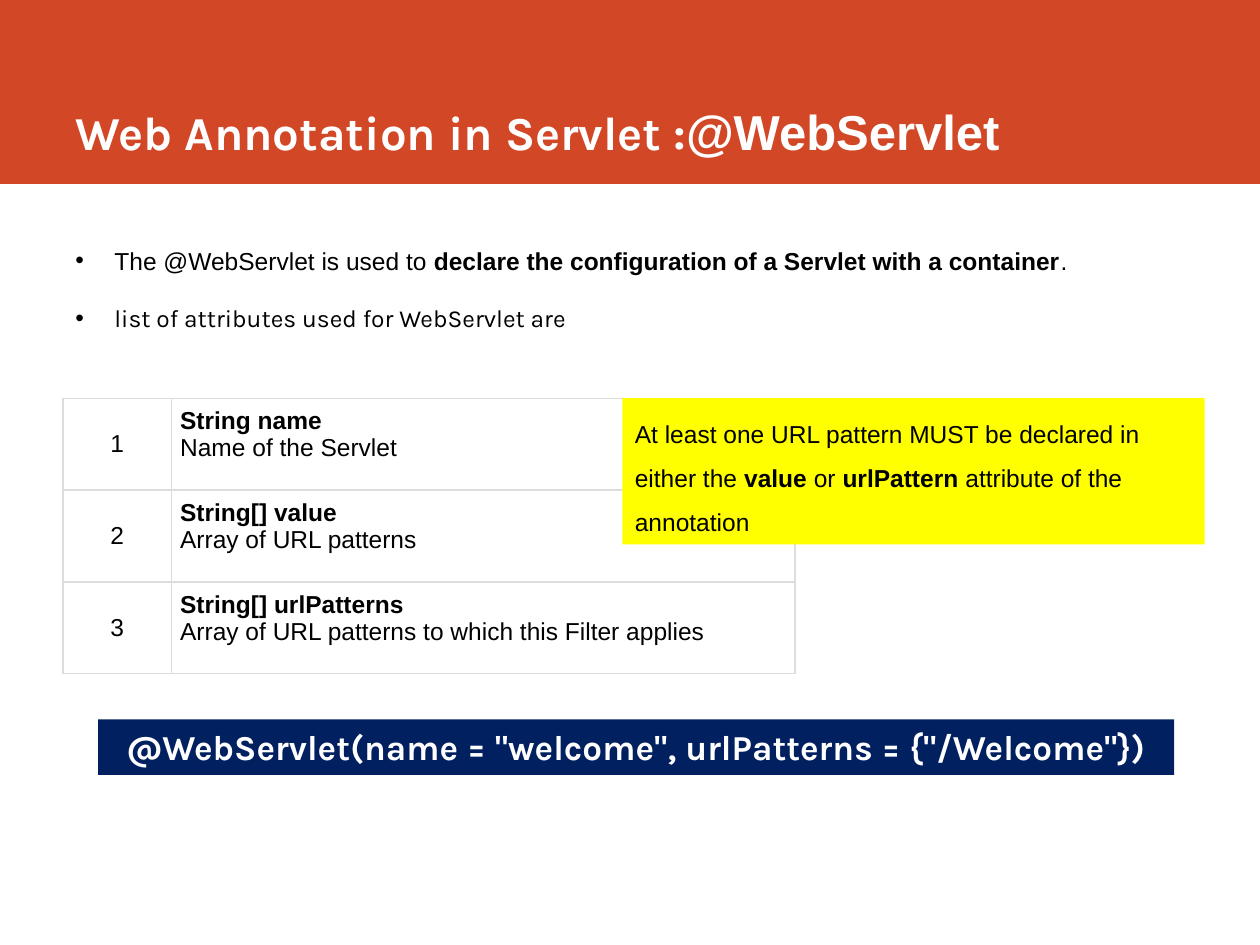
from lxml import etree
from pptx import Presentation
from pptx import util as u
from pptx.dml.color import RGBColor
from pptx.enum import shapes, text
from pptx.oxml.ns import qn

THEME = dict(
    band="D24726", callout="FFFF00", code="002060", rule="DDDDDD",
    ink="000000", light="FFFFFF",
    body_font="Arial", accent_font="Karla",
    body=14, code_size=20, title=27, title_code=28,
)

deck = Presentation()
deck.slide_width, deck.slide_height = u.Inches(10), u.Inches(7.5)
W, H = deck.slide_width, deck.slide_height
slide = deck.slides.add_slide(deck.slide_layouts[5])


def write(frame, paragraphs, align=text.PP_ALIGN.LEFT, anchor=text.MSO_ANCHOR.TOP,
          line=None, gap=0, bullet=False, **base):
    """Fill a frame; each paragraph is a list of (text, format changes)."""
    frame.word_wrap = True
    frame.vertical_anchor = anchor
    for i, parts in enumerate(paragraphs):
        p = frame.paragraphs[0] if i == 0 else frame.add_paragraph()
        p.alignment = align
        p.space_before = u.Pt(gap if i else 0)
        if line:
            p.line_spacing = line
        if bullet:
            pPr = p._p.get_or_add_pPr()
            pPr.set("marL", str(u.Inches(0.31)))
            pPr.set("indent", str(-u.Inches(0.31)))
            etree.SubElement(pPr, qn("a:buFont"), typeface="Arial")
            etree.SubElement(pPr, qn("a:buChar"), char="•")
        for words, changes in parts:
            look = dict(font=THEME["body_font"], size=THEME["body"],
                        color=THEME["ink"], bold=False) | base | changes
            run = p.add_run()
            run.text = words
            run.font.name, run.font.bold = look["font"], look["bold"]
            run.font.size = u.Pt(look["size"])
            run.font.color.rgb = RGBColor.from_string(look["color"])


def add_panel(left, top, width, height, color):
    panel = slide.shapes.add_shape(shapes.MSO_SHAPE.RECTANGLE,
                                   *map(int, (left, top, width, height)))
    panel.shadow.inherit = False
    panel.fill.solid()
    panel.fill.fore_color.rgb = RGBColor.from_string(color)
    panel.line.fill.background()
    return panel


BOLD = dict(bold=True)
margin = W * 0.05
table_top = H * 0.4213

# Title band, behind the title
band = add_panel(0, 0, W, H * 0.1947, THEME["band"])
slide.shapes._spTree.insert(2, band._element)

heading = slide.shapes.title
heading.left, heading.top = int(margin), 0
heading.width, heading.height = int(W * 0.882), int(H * 0.176)
heading.text_frame.auto_size = text.MSO_AUTO_SIZE.NONE
write(heading.text_frame,
      [[("Web Annotation in Servlet :", dict(font=THEME["accent_font"])),
        ("@WebServlet", dict(size=THEME["title_code"]))]],
      anchor=text.MSO_ANCHOR.BOTTOM, size=THEME["title"], color=THEME["light"], bold=True)

# Introduction
intro = slide.shapes.add_textbox(int(margin), int(H * 0.2533), int(W * 0.92), int(H * 0.11))
write(intro.text_frame,
      [[("The @WebServlet is used to ", {}),
        ("declare the configuration of a Servlet with a container", BOLD),
        (".", {})],
       [("list of attributes used for WebServlet are", dict(font=THEME["accent_font"]))]],
      align=text.PP_ALIGN.JUSTIFY, gap=16, bullet=True)

# Attribute table
attributes = [
    ("String name", "Name of the Servlet"),
    ("String[] value", "Array of URL patterns"),
    ("String[] urlPatterns", "Array of URL patterns to which this Filter applies"),
]
columns = (W * 0.086, W * 0.495)
row_height = H * 0.0973
grid = slide.shapes.add_table(len(attributes), len(columns), int(margin), int(table_top),
                              int(sum(columns)), int(row_height * len(attributes))).table
grid.first_row = grid.horz_banding = False
for column, width in zip(grid.columns, columns):
    column.width = int(width)
for number, (name, meaning) in enumerate(attributes, 1):
    grid.rows[number - 1].height = int(row_height)
    number_cell, name_cell = grid.rows[number - 1].cells
    for cell in (number_cell, name_cell):
        cell.margin_left = cell.margin_right = u.Inches(0.07)
        cell.margin_top = cell.margin_bottom = u.Inches(0.07)
        for side in ("lnL", "lnR", "lnT", "lnB"):
            border = etree.SubElement(cell._tc.get_or_add_tcPr(), qn(f"a:{side}"),
                                      w=str(u.Pt(0.75)))
            paint = etree.SubElement(border, qn("a:solidFill"))
            etree.SubElement(paint, qn("a:srgbClr"), val=THEME["rule"])
        cell.fill.background()
    write(number_cell.text_frame, [[(str(number), {})]], align=text.PP_ALIGN.CENTER)
    number_cell.vertical_anchor = text.MSO_ANCHOR.MIDDLE
    write(name_cell.text_frame, [[(name, BOLD)], [(meaning, {})]],
          align=text.PP_ALIGN.JUSTIFY)

# Callout over the table
callout = add_panel(W * 0.494, table_top, W * 0.462, H * 0.1547, THEME["callout"])
write(callout.text_frame,
      [[("At least one URL pattern MUST be declared in either the ", {}),
        ("value", BOLD), (" or ", {}), ("urlPattern", BOLD),
        (" attribute of the annotation", {})]], line=1.5)

# Code example
example = add_panel(W * 0.078, H * 0.7613, W * 0.854, H * 0.0587, THEME["code"])
write(example.text_frame,
      [[('@WebServlet(name = "welcome", urlPatterns = {"/Welcome"})', {})]],
      align=text.PP_ALIGN.CENTER, font=THEME["accent_font"],
      size=THEME["code_size"], color=THEME["light"], bold=True)

deck.save("out.pptx")
